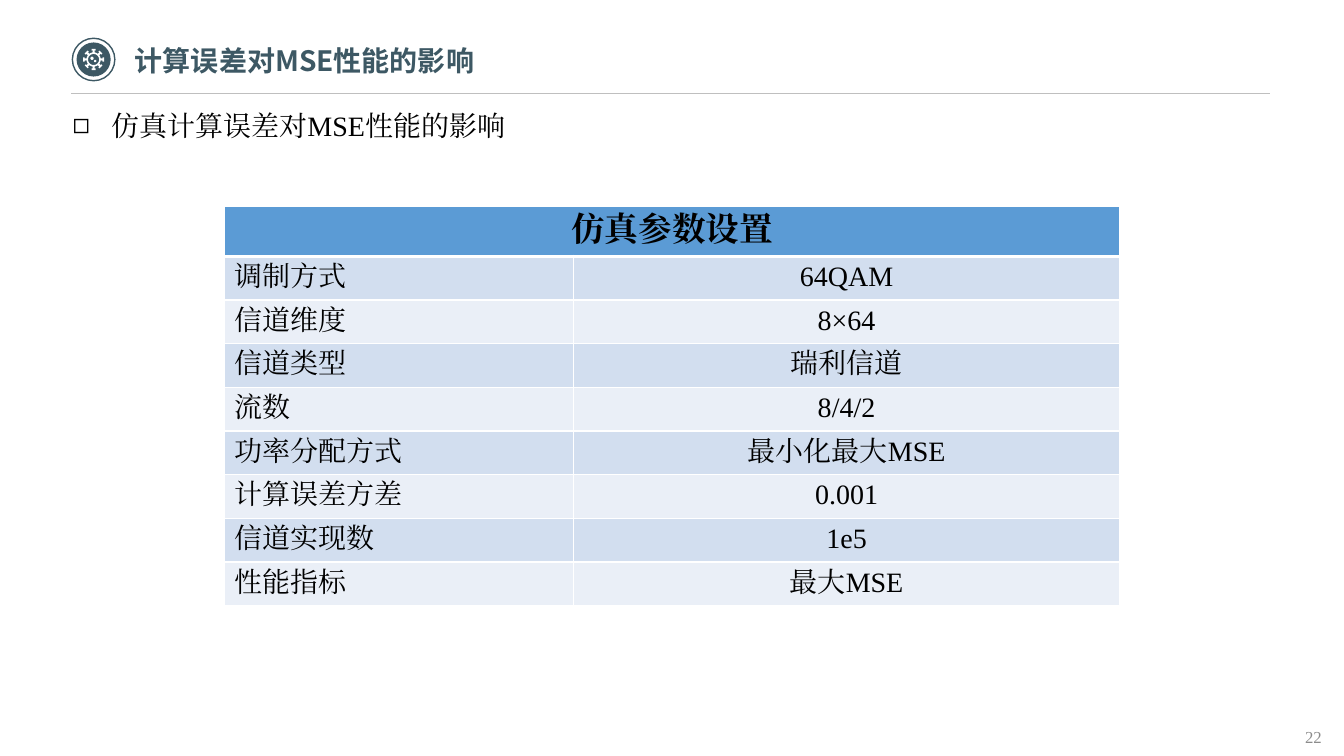
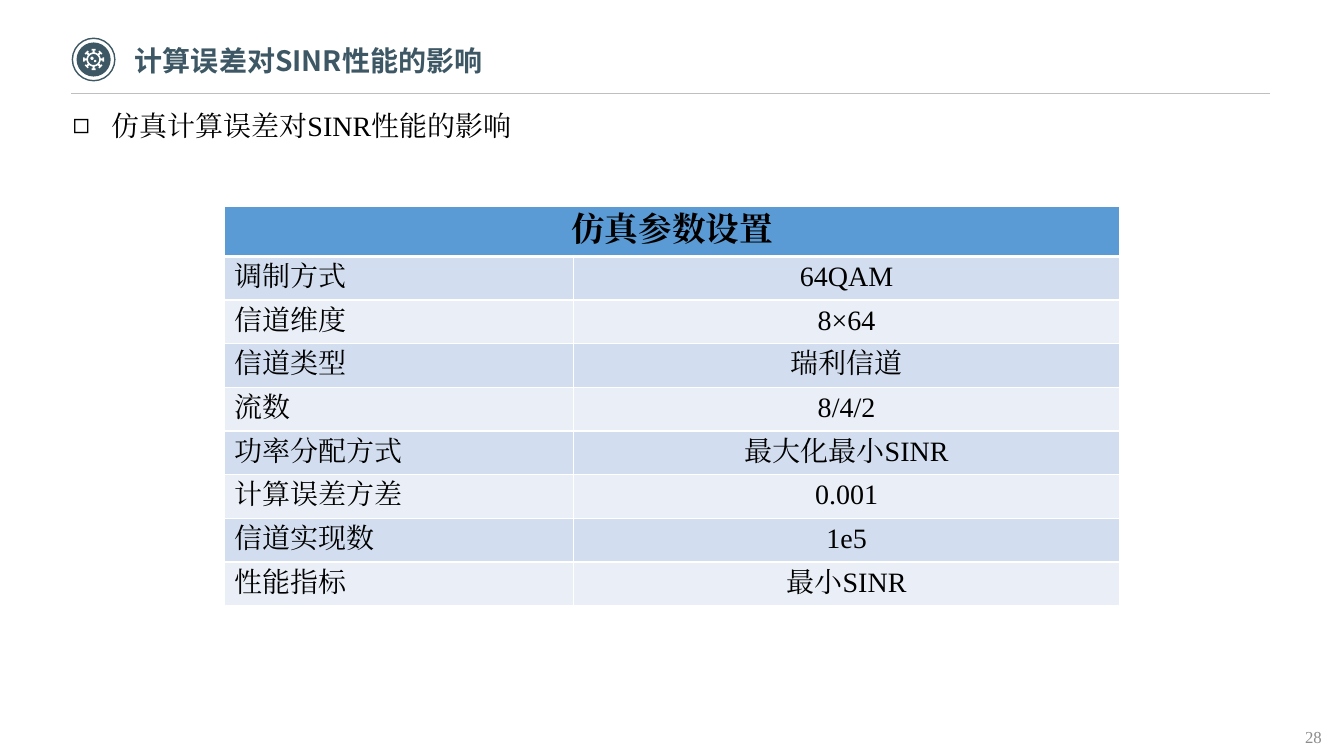
from math import cos, radians, sin

from lxml import etree
from pptx import Presentation
from pptx.dml.color import RGBColor
from pptx.enum.shapes import MSO_CONNECTOR, MSO_SHAPE
from pptx.enum.text import MSO_ANCHOR, MSO_AUTO_SIZE, PP_ALIGN
from pptx.oxml.ns import qn
from pptx.util import Cm, Pt

OVAL = MSO_SHAPE.OVAL
STRAIGHT = MSO_CONNECTOR.STRAIGHT
LEFT, CENTER, JUSTIFY = PP_ALIGN.LEFT, PP_ALIGN.CENTER, PP_ALIGN.JUSTIFY
TOP, MIDDLE = MSO_ANCHOR.TOP, MSO_ANCHOR.MIDDLE
NO_AUTOFIT = MSO_AUTO_SIZE.NONE

COLORS = {
    "slate": "3D5864",
    "white": "FFFFFF",
    "black": "000000",
    "rule": "BFBFBF",
    "number": "8C8C8C",
    "header": "5B9BD5",
    "dark_band": "D2DEEF",
    "light_band": "EAEFF7",
}
TITLE_FONT = "Noto Sans CJK SC"
BODY_FONT = "Times New Roman"

TITLE_AREA = (3.4, 0.97, 18.34, 1.12)
BODY_AREA = (1.83, 2.34, 30.2, 16.7)
BADGE_CENTER = (2.36, 1.5)
TABLE_ORIGIN = (5.66, 5.21)
COLUMN_WIDTHS = (8.79, 13.77)
HEADER_HEIGHT, ROW_HEIGHT = 1.25, 1.1

# page number, metric, power allocation, performance measure
PAGES = [
    (22, "MSE", "最小化最大MSE", "最大MSE"),
    (28, "SINR", "最大化最小SINR", "最小SINR"),
]


def color(name):
    return RGBColor.from_string(COLORS[name])


def write(para, text, size=20, font=BODY_FONT, fill="black", bold=False,
          align=LEFT, line_spacing=None):
    para.alignment = align
    para.space_before = Pt(0)
    para.line_spacing = line_spacing
    span = para.add_run()
    span.text = text
    span.font.size = Pt(size)
    span.font.bold = bold
    span.font.color.rgb = color(fill)
    span.font.name = font
    east_asian = etree.SubElement(span.font._element, qn("a:ea"))
    east_asian.set("typeface", font)


def set_frame(frame, anchor, left=0.0, right=0.0):
    frame.word_wrap = True
    frame.auto_size = NO_AUTOFIT
    frame.vertical_anchor = anchor
    frame.margin_left, frame.margin_right = Cm(left), Cm(right)
    frame.margin_top = frame.margin_bottom = Cm(0.13)


def place(shape, area):
    shape.left, shape.top, shape.width, shape.height = map(Cm, area)


def add_circle(page, diameter, fill=None, line=None):
    x, y = BADGE_CENTER
    circle = page.shapes.add_shape(OVAL, Cm(x - diameter / 2), Cm(y - diameter / 2),
                                   Cm(diameter), Cm(diameter))
    circle.shadow.inherit = False
    if fill:
        circle.fill.solid()
        circle.fill.fore_color.rgb = color(fill)
    else:
        circle.fill.background()
    if line:
        circle.line.color.rgb = color(line)
        circle.line.width = Pt(1)
    else:
        circle.line.fill.background()
    return circle


def polar(radius, degrees, dx=0.0, dy=0.0):
    """Point in EMU around the badge centre, shifted by dx and dy."""
    x, y = BADGE_CENTER
    angle = radians(degrees)
    return Cm(x + dx + radius * cos(angle)), Cm(y + dy + radius * sin(angle))


def round_contour(radius, dx=0.0, dy=0.0):
    return [polar(radius, step, dx, dy) for step in range(0, 360, 15)]


def add_gear(page):
    """Eight T-shaped teeth on a ring, with two dots in its hole."""
    tooth = [(0.18, -22.5), (0.18, -8), (0.23, -6.5), (0.23, -13), (0.27, -11),
             (0.27, 11), (0.23, 13), (0.23, 6.5), (0.18, 8)]
    rim = [polar(radius, turn + offset)
           for turn in range(0, 360, 45) for radius, offset in tooth]
    contours = [rim, round_contour(0.14), round_contour(0.03, 0.04, 0.04),
                round_contour(0.04, -0.04, -0.03)]
    builder = page.shapes.build_freeform(*rim[0])
    for index, points in enumerate(contours):
        if index:
            builder.move_to(*points[0])
        builder.add_line_segments(points[1:], close=True)
    gear = builder.convert_to_shape()
    gear.shadow.inherit = False
    gear.fill.solid()
    gear.fill.fore_color.rgb = color("white")
    gear.line.fill.background()
    return gear


def add_rule(page):
    rule = page.shapes.add_connector(STRAIGHT, Cm(1.8), Cm(2.36), Cm(32), Cm(2.36))
    rule.line.color.rgb = color("rule")
    rule.line.width = Pt(0.5)
    etree.SubElement(rule.element.spPr, qn("a:effectLst"))
    return rule


def set_up_layout(layout, page):
    """Place the layout's placeholders and move the shared artwork into it."""
    for holder in list(layout.placeholders):
        index = holder.placeholder_format.idx
        if index > 1:
            holder.element.getparent().remove(holder.element)
        else:
            place(holder, BODY_AREA if index else TITLE_AREA)
    artwork = [add_circle(page, 1.07, line="slate"), add_circle(page, 0.86, fill="slate"),
               add_gear(page), add_rule(page)]
    for number, shape in enumerate(artwork, start=20):
        shape.element.xpath(".//p:cNvPr")[0].set("id", str(number))
        layout.shapes.element.append(shape.element)


def add_title(page, text):
    frame = page.shapes.title.text_frame
    set_frame(frame, MIDDLE, right=0.25)
    write(frame.paragraphs[0], text, font=TITLE_FONT, fill="slate", bold=True)


def add_bullet(page, text):
    frame = page.placeholders[1].text_frame
    set_frame(frame, TOP)
    para = frame.paragraphs[0]
    properties = para._p.get_or_add_pPr()
    properties.set("marL", str(Cm(0.97)))
    properties.set("indent", str(-Cm(0.97)))
    etree.SubElement(properties, qn("a:buChar")).set("char", "◻")
    write(para, text, align=JUSTIFY, line_spacing=1.3)


def add_page_number(page, number):
    box = page.shapes.add_textbox(Cm(32.64), Cm(18.19), Cm(1.2), Cm(0.76))
    set_frame(box.text_frame, TOP, left=0.25)
    write(box.text_frame.paragraphs[0], str(number), size=12, fill="number")


def set_borders(cell, top, bottom):
    """White borders: 1 pt at the sides, the given points above and below."""
    properties = cell._tc.get_or_add_tcPr()
    widths = (("a:lnL", 1), ("a:lnR", 1), ("a:lnT", top), ("a:lnB", bottom))
    for position, (tag, width) in enumerate(widths):
        line = etree.Element(qn(tag), w=str(Pt(width)))
        fill = etree.SubElement(line, qn("a:solidFill"))
        etree.SubElement(fill, qn("a:srgbClr")).set("val", COLORS["white"])
        properties.insert(position, line)


def add_table(page, heading, rows):
    left, top = TABLE_ORIGIN
    height = HEADER_HEIGHT + ROW_HEIGHT * len(rows)
    table = page.shapes.add_table(len(rows) + 1, 2, Cm(left), Cm(top),
                                  Cm(sum(COLUMN_WIDTHS)), Cm(height)).table
    for column, width in zip(table.columns, COLUMN_WIDTHS):
        column.width = Cm(width)
    for index, row in enumerate(table.rows):
        row.height = Cm(ROW_HEIGHT if index else HEADER_HEIGHT)
        band = ("light_band", "dark_band")[index % 2] if index else "header"
        for cell in row.cells:
            cell.fill.solid()
            cell.fill.fore_color.rgb = color(band)
            set_borders(cell, top=3 if index == 1 else 1, bottom=1 if index else 3)
    header = table.cell(0, 0)
    header.merge(table.cell(0, 1))
    write(header.text_frame.paragraphs[0], heading, size=24, bold=True, align=CENTER)
    for index, texts in enumerate(rows, start=1):
        for column, (text, align) in enumerate(zip(texts, (JUSTIFY, CENTER))):
            write(table.cell(index, column).text_frame.paragraphs[0], text, align=align)


def main():
    deck = Presentation()
    deck.slide_width, deck.slide_height = Cm(33.87), Cm(19.05)
    layout = deck.slide_layouts[1]
    for index, (number, metric, allocation, measure) in enumerate(PAGES):
        page = deck.slides.add_slide(layout)
        if index == 0:
            set_up_layout(layout, page)
        add_title(page, f"计算误差对{metric}性能的影响")
        add_bullet(page, f"仿真计算误差对{metric}性能的影响")
        add_table(page, "仿真参数设置", [
            ("调制方式", "64QAM"),
            ("信道维度", "8×64"),
            ("信道类型", "瑞利信道"),
            ("流数", "8/4/2"),
            ("功率分配方式", allocation),
            ("计算误差方差", "0.001"),
            ("信道实现数", "1e5"),
            ("性能指标", measure),
        ])
        add_page_number(page, number)
    deck.save("out.pptx")


if __name__ == "__main__":
    main()
